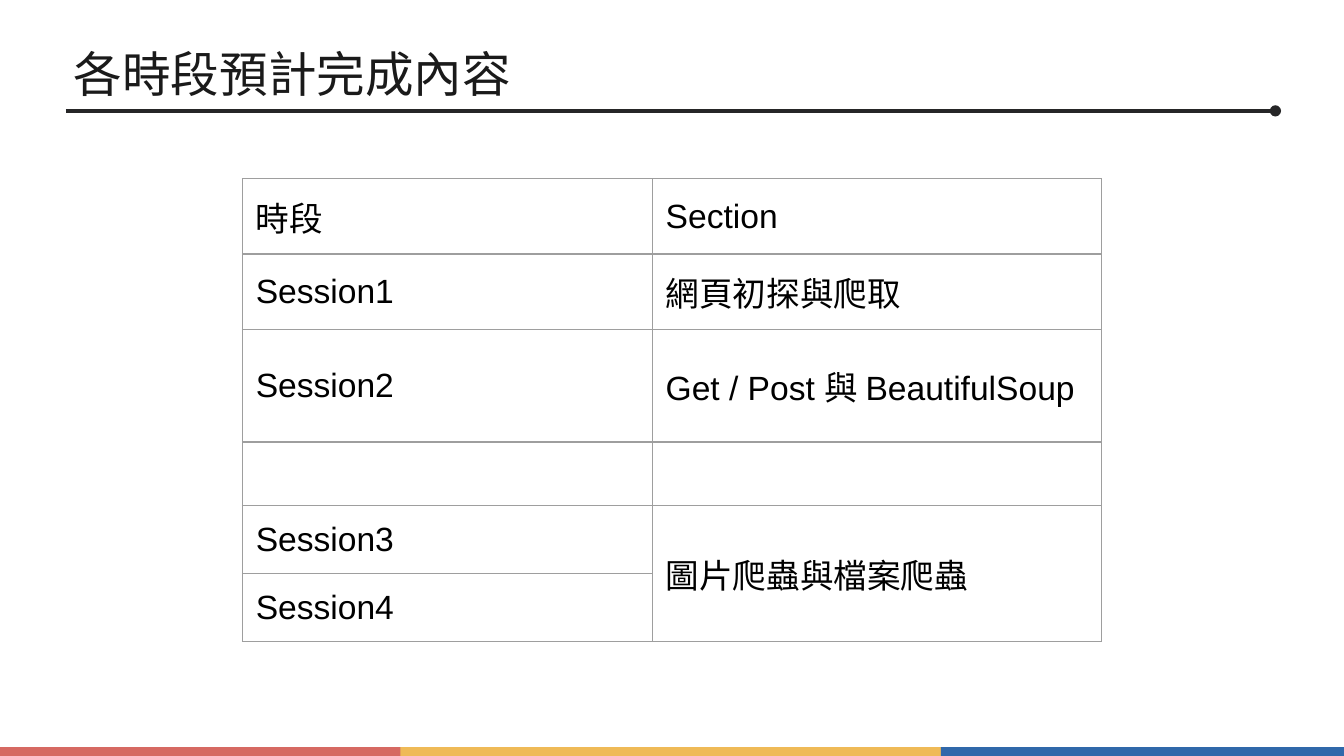
from lxml.etree import SubElement
from pptx import Presentation
from pptx.dml.color import RGBColor
from pptx.enum.shapes import MSO_CONNECTOR, MSO_SHAPE
from pptx.enum.text import MSO_ANCHOR
from pptx.oxml.ns import qn
from pptx.util import Inches, Pt

RED = RGBColor(0xD6, 0x69, 0x62)
YELLOW = RGBColor(0xEF, 0xBA, 0x57)
BLUE = RGBColor(0x30, 0x68, 0xAA)
CHARCOAL = RGBColor(0x26, 0x26, 0x27)
TITLE_INK = RGBColor(0x1A, 0x1A, 0x1A)
BLACK = RGBColor(0x00, 0x00, 0x00)
BORDER = RGBColor(0x9E, 0x9E, 0x9E)

COLUMNS, ROWS = 100, 56.25
SLIDE_WIDTH = Inches(10)
SLIDE_HEIGHT = SLIDE_WIDTH * 9 // 16

SCHEDULE = [
    ("時段", "Section"),
    ("Session1", "網頁初探與爬取"),
    ("Session2", "Get / Post 與 BeautifulSoup"),
    ("", ""),
    ("Session3", "圖片爬蟲與檔案爬蟲"),
    ("Session4", ""),
]
COLUMN_WIDTHS = [30.5, 33.4]
ROW_HEIGHTS = [5.6, 5.6, 8.4, 4.75, 5.05, 5.05]


def across(columns):
    return round(SLIDE_WIDTH * columns / COLUMNS)


def down(rows):
    return round(SLIDE_HEIGHT * rows / ROWS)


def write_text(frame, text, size=18, color=BLACK, font="Arial"):
    paragraph = frame.paragraphs[0]
    run = paragraph.add_run()
    run.text = text
    run.font.name = font
    run.font.size = Pt(size)
    run.font.color.rgb = color


class SlideBuilder:
    border_width = Pt(0.75)
    cell_margin = Inches(0.1)
    title_margin = Inches(0.03)

    def __init__(self, slide):
        self.slide = slide

    def bar(self, left, top, width, height, color):
        shape = self.slide.shapes.add_shape(
            MSO_SHAPE.RECTANGLE, across(left), down(top), across(width), down(height))
        shape.shadow.inherit = False
        shape.fill.solid()
        shape.fill.fore_color.rgb = color
        shape.line.fill.background()

    def rule(self, left, right, top):
        connector = self.slide.shapes.add_connector(
            MSO_CONNECTOR.STRAIGHT, across(left), down(top), across(right), down(top))
        connector.line.color.rgb = CHARCOAL
        connector.line.width = Pt(2)
        SubElement(connector.line._get_or_add_ln(), qn("a:tailEnd"), type="oval")
        SubElement(connector._element.spPr, qn("a:effectLst"))

    def title(self, text, left, top, width, height):
        shape = self.slide.shapes.add_textbox(
            across(left), down(top), across(width), down(height))
        frame = shape.text_frame
        frame.word_wrap = True
        frame.vertical_anchor = MSO_ANCHOR.MIDDLE
        frame.margin_left = frame.margin_right = self.title_margin
        frame.margin_top = frame.margin_bottom = self.title_margin
        write_text(frame, text, size=26, color=TITLE_INK)

    def cell(self, cell, text):
        properties = cell._tc.get_or_add_tcPr()
        for side in ("lnL", "lnR", "lnT", "lnB"):
            line = SubElement(properties, qn(f"a:{side}"), w=str(self.border_width))
            fill = SubElement(line, qn("a:solidFill"))
            SubElement(fill, qn("a:srgbClr"), val=str(BORDER))
        cell.fill.background()
        if text:
            cell.vertical_anchor = MSO_ANCHOR.MIDDLE
            cell.margin_left = cell.margin_right = self.cell_margin
            cell.margin_top = cell.margin_bottom = self.cell_margin
            write_text(cell.text_frame, text)

    def table(self, left, top, widths, heights, records):
        table = self.slide.shapes.add_table(
            len(heights), len(widths), across(left), down(top),
            across(sum(widths)), down(sum(heights))).table
        table.first_row = table.horz_banding = False
        for column, width in zip(table.columns, widths):
            column.width = across(width)
        for row, height, record in zip(table.rows, heights, records):
            row.height = down(height)
            for cell, text in zip(row.cells, record):
                self.cell(cell, text)
        return table


def main():
    presentation = Presentation()
    presentation.slide_width = SLIDE_WIDTH
    presentation.slide_height = SLIDE_HEIGHT
    builder = SlideBuilder(presentation.slides.add_slide(presentation.slide_layouts[6]))

    for left, width, color in [(-0.2, 30.2, RED), (29.8, 40.3, YELLOW), (70, 30.2, BLUE)]:
        builder.bar(left, 55.6, width, 0.65, color)
    builder.rule(4.9, 94.9, 8.25)
    builder.title("各時段預計完成內容", 5.2, 2.3, 64, 6.2)
    table = builder.table(18.03, 13.3, COLUMN_WIDTHS, ROW_HEIGHTS, SCHEDULE)
    table.cell(4, 1).merge(table.cell(5, 1))

    presentation.save("out.pptx")


if __name__ == "__main__":
    main()
